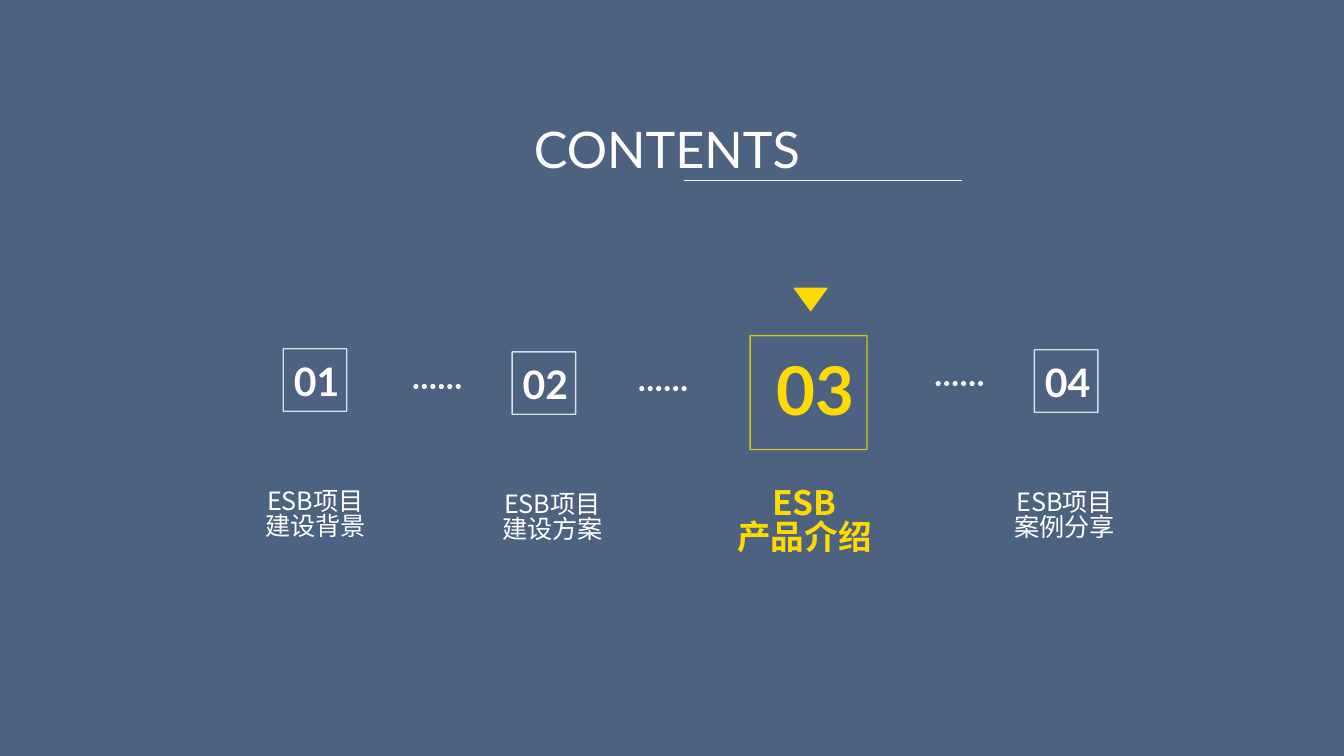
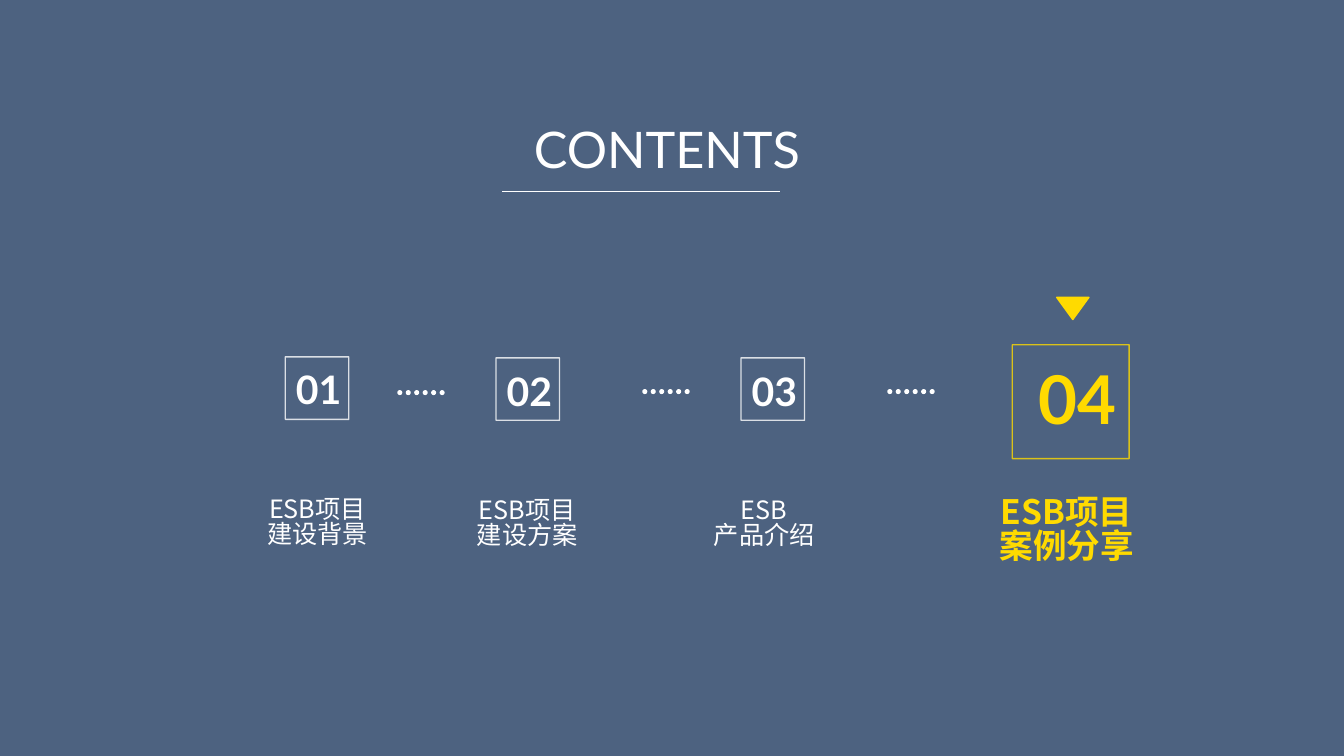
"""Build two agenda slides, each highlighting its current section."""
from dataclasses import dataclass

from lxml import etree
from pptx import Presentation
from pptx.dml.color import RGBColor
from pptx.enum import shapes, text
from pptx.oxml import ns
from pptx.util import Inches, Pt

COLORS = {"back": "4D6280", "plain": "FFFFFF", "accent": "FFDA00"}
LATIN, CJK = "Lato", "Noto Sans CJK SC"
DOT_COUNT, DOT_SIZE, DOT_PITCH = 6, 0.05, 0.084
LABEL_WIDTH = 3


@dataclass(frozen=True)
class Style:
    color: str
    bold: bool
    box: tuple[float, float]
    number: tuple[float, float, float, float]
    number_size: int
    label_drop: float
    label_height: float
    label_size: int


@dataclass(frozen=True)
class Stop:
    number: str
    label: str
    left: float
    top: float
    label_left: float
    dots: tuple[float, float] | None = None


@dataclass(frozen=True)
class Agenda:
    current: str
    rule: tuple[float, float]
    stops: tuple[Stop, ...]


PLAIN = Style("plain", False, (0.63, 0.62), (-0.15, 0.04, 0.96, 0.57), 28, 1.35, 0.71, 18)
ACTIVE = Style("accent", True, (1.16, 1.13), (-0.24, 0.08, 1.77, 0.91), 48, 1.47, 1.58, 24)

BACKGROUND = "ESB项目\n建设背景"
SOLUTION = "ESB项目\n建设方案"
PRODUCT = "ESB\n产品介绍"
CASES = "ESB项目\n案例分享"

AGENDAS = (
    Agenda("03", (6.78, 1.79), (
        Stop("01", BACKGROUND, 2.81, 3.46, 1.63),
        Stop("02", SOLUTION, 5.08, 3.49, 3.98, (4.1, 3.81)),
        Stop("03", PRODUCT, 7.44, 3.33, 6.48, (6.34, 3.83)),
        Stop("04", CASES, 10.26, 3.47, 9.06, (9.28, 3.78)),
    )),
    Agenda("04", (4.98, 1.9), (
        Stop("01", BACKGROUND, 2.83, 3.54, 1.65),
        Stop("02", SOLUTION, 4.92, 3.55, 3.73, (3.94, 3.87)),
        Stop("03", PRODUCT, 7.35, 3.55, 6.08, (6.37, 3.86)),
        Stop("04", CASES, 10.04, 3.42, 9.08, (8.8, 3.86)),
    )),
)


def rgb(name: str) -> RGBColor:
    return RGBColor.from_string(COLORS[name])


def place(sp, left: float, top: float, width: float, height: float) -> None:
    sp.left, sp.top, sp.width, sp.height = map(Inches, (left, top, width, height))


def write(sp, content: str, *, size: int, font: str = LATIN, color: str = "plain",
          bold: bool = False, spacing: float = 1.0) -> None:
    tf = sp.text_frame
    tf.word_wrap = True
    tf.auto_size = text.MSO_AUTO_SIZE.NONE
    tf.vertical_anchor = text.MSO_ANCHOR.TOP
    tf.text = content
    for p in tf.paragraphs:
        p.alignment = text.PP_ALIGN.CENTER
        p.line_spacing = spacing
        for r in p.runs:
            r.font.size, r.font.bold, r.font.name = Pt(size), bold, font
            r.font.color.rgb = rgb(color)
            ea = etree.SubElement(r.font._element, ns.qn("a:ea"))
            ea.set("typeface", font)


def add_text(s, at: tuple[float, float, float, float], content: str, **style) -> None:
    write(s.shapes.add_textbox(*map(Inches, at)), content, **style)


def add_shape(s, kind, at: tuple[float, float, float, float], *,
              fill: str | None = None, line: str | None = None, opacity: int = 100):
    sp = s.shapes.add_shape(kind, *map(Inches, at))
    sp.shadow.inherit = False
    if fill:
        sp.fill.solid()
        sp.fill.fore_color.rgb = rgb(fill)
    else:
        sp.fill.background()
    if line:
        sp.line.color.rgb = rgb(line)
        sp.line.width = Pt(1)
        if opacity < 100:
            clr = sp.line._ln.find(".//" + ns.qn("a:srgbClr"))
            etree.SubElement(clr, ns.qn("a:alpha")).set("val", str(opacity * 1000))
    else:
        sp.line.fill.background()
    return sp


def add_heading(s, rule: tuple[float, float]) -> None:
    place(s.shapes.title, 4.44, 1.12, 4.35, 0.71)
    write(s.shapes.title, "CONTENTS", size=36)
    x, y = rule
    line = s.shapes.add_connector(shapes.MSO_CONNECTOR.STRAIGHT,
                                  *map(Inches, (x, y, x + 2.76, y)))
    line.line.color.rgb = rgb("plain")
    line.line.width = Pt(0.5)
    etree.SubElement(line._element.spPr, ns.qn("a:effectLst"))


def add_dots(s, left: float, top: float) -> None:
    for i in range(DOT_COUNT):
        at = (left + i * DOT_PITCH, top, DOT_SIZE, DOT_SIZE)
        add_shape(s, shapes.MSO_SHAPE.OVAL, at, fill="plain")


def add_stop(s, stop: Stop, active: bool) -> None:
    style = ACTIVE if active else PLAIN
    if stop.dots:
        add_dots(s, *stop.dots)
    if active:
        marker = add_shape(s, shapes.MSO_SHAPE.ISOSCELES_TRIANGLE,
                           (stop.left + 0.44, stop.top - 0.47, 0.32, 0.22),
                           fill=style.color, line=style.color)
        marker.rotation = 180
    add_text(s, (stop.label_left, stop.top + style.label_drop, LABEL_WIDTH, style.label_height),
             stop.label, size=style.label_size, font=CJK, color=style.color,
             bold=style.bold, spacing=0.84)
    add_shape(s, shapes.MSO_SHAPE.RECTANGLE, (stop.left, stop.top, *style.box),
              line=style.color, opacity=80)
    dx, dy, width, height = style.number
    add_text(s, (stop.left + dx, stop.top + dy, width, height), stop.number,
             size=style.number_size, color=style.color, bold=True)


def main() -> None:
    prs = Presentation()
    prs.slide_width, prs.slide_height = Inches(13.33), Inches(7.5)
    fill = prs.slide_master.background.fill
    fill.solid()
    fill.fore_color.rgb = rgb("back")
    layout = prs.slide_layouts.get_by_name("Title Only")
    for agenda in AGENDAS:
        s = prs.slides.add_slide(layout)
        add_heading(s, agenda.rule)
        for stop in agenda.stops:
            add_stop(s, stop, stop.number == agenda.current)
    prs.save("out.pptx")


if __name__ == "__main__":
    main()
